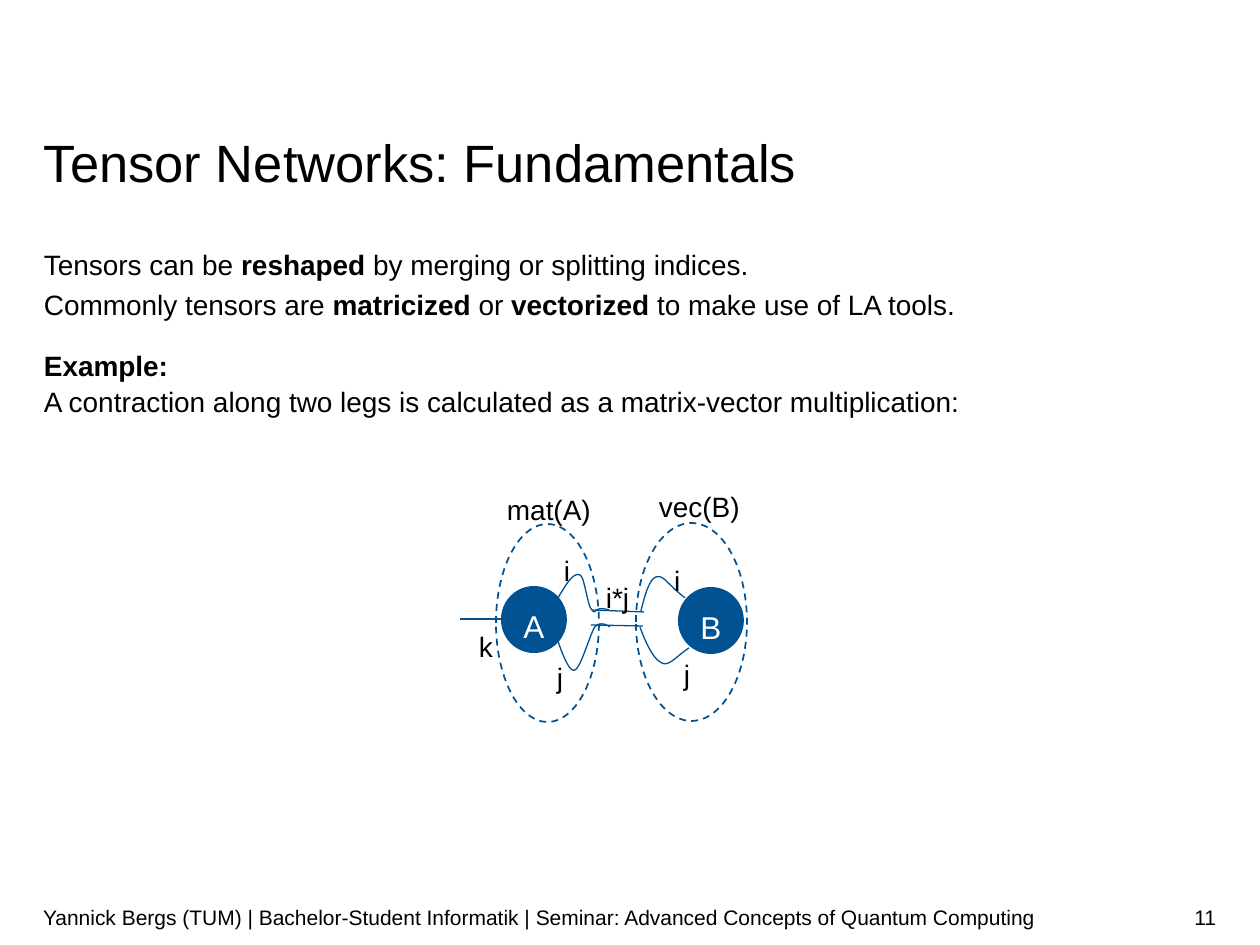
from lxml.etree import SubElement
from pptx import Presentation
from pptx.dml.color import RGBColor
from pptx.enum.dml import MSO_LINE_DASH_STYLE as Dash
from pptx.enum.shapes import MSO_CONNECTOR as Connector, MSO_SHAPE as Shape
from pptx.enum.text import MSO_ANCHOR as Anchor, PP_ALIGN as Align
from pptx.oxml.ns import qn
from pptx.util import Pt

PX = 914400 // 126
BLACK, WHITE, BLUE, LINE_BLUE = "000000", "FFFFFF", "005293", "005090"
LOOSE = 1.14  # line spacing of body text and labels

# Content: each paragraph is a list of (text, bold) runs
TITLE = [[("Tensor Networks: Fundamentals", False)]]
INTRO = [
    [("Tensors can be ", False), ("reshaped ", True),
     ("by merging or splitting indices.", False)],
    [("Commonly tensors are ", False), ("matricized ", True), ("or ", False),
     ("vectorized ", True), ("to make use of LA tools.", False)],
]
EXAMPLE = [
    [("Example:", True)],
    [("A contraction along two legs is calculated as a matrix-vector multiplication:", False)],
]
FOOTER = [[("Yannick Bergs (TUM) | Bachelor-Student Informatik | "
            "Seminar: Advanced Concepts of Quantum Computing", False)]]
PAGE_NUMBER = [[("11", False)]]

# Diagram, in px
GROUPS = [(636, 523, 111, 198), (496, 524, 103, 198)]
NODES = [("A", 501, 586), ("B", 678, 587)]
LABELS = [  # text, left, top, width
    ("i", 564, 549, 6), ("j", 557, 656, 6), ("k", 479, 625, 14),
    ("i", 674, 559, 6), ("j", 684, 653, 6), ("i*j", 606, 576, 24),
    ("mat(A)", 507, 488, 84), ("vec(B)", 659, 485, 82),
]
STRAIGHT_LEGS = [(501, 619, 460, 619), (592, 610, 644, 612), (591, 625, 643, 626)]
CURVED_LEGS = [  # start point, then three Bézier points per segment
    [(558, 598), (566, 585), (573, 572), (580, 575), (585, 577), (587, 605),
     (592, 610), (597, 616), (593, 605), (609, 610)],
    [(558, 641), (563, 656), (570, 673), (575, 670), (581, 668), (590, 634),
     (595, 627), (601, 620), (610, 627), (610, 627)],
    [(641, 611), (645, 595), (649, 580), (656, 577), (664, 575), (665, 582), (685, 598)],
    [(640, 627), (646, 643), (653, 659), (662, 663), (669, 667), (678, 655), (689, 648)],
]

presentation = Presentation()
presentation.slide_width, presentation.slide_height = 1260 * PX, 945 * PX
slide = presentation.slides.add_slide(presentation.slide_layouts[6])
shapes = slide.shapes


def color(value):
    return RGBColor.from_string(value)


def emu(*lengths):
    return [length * PX for length in lengths]


def write(frame, paragraphs, size, ink=BLACK, align=Align.LEFT, spacing=None, before=0):
    for index, runs in enumerate(paragraphs):
        paragraph = frame.paragraphs[0] if index == 0 else frame.add_paragraph()
        paragraph.alignment = align
        paragraph.space_before = Pt(before)
        if spacing:
            paragraph.line_spacing = spacing
        for text, bold in runs:
            run = paragraph.add_run()
            run.text = text
            font = run.font
            font.name, font.size, font.bold = "Arial", Pt(size), bold
            font.color.rgb = color(ink)


def add_text(box, paragraphs, size, inset=0, wrap=True, anchor=Anchor.TOP, **style):
    frame = shapes.add_textbox(*emu(*box)).text_frame
    frame.word_wrap = wrap
    frame.vertical_anchor = anchor
    frame.margin_left = frame.margin_right = 0
    frame.margin_top = frame.margin_bottom = inset * PX
    write(frame, paragraphs, size, **style)


def add_ellipse(box, fill):
    shape = shapes.add_shape(Shape.OVAL, *emu(*box))
    shape.shadow.inherit = False
    shape.fill.solid()
    shape.fill.fore_color.rgb = color(fill)
    return shape


def draw_line(line, ink, width):
    line.color.rgb = color(ink)
    line.width = Pt(width)


def curve_points(points, steps=12):
    for start in range(0, len(points) - 1, 3):
        segment = points[start:start + 4]
        for step in range(1, steps + 1):
            t = step / steps
            weights = ((1 - t) ** 3, 3 * t * (1 - t) ** 2, 3 * t * t * (1 - t), t ** 3)
            yield tuple(round(sum(w * p[axis] for w, p in zip(weights, segment)) * PX)
                        for axis in (0, 1))


# Dashed outlines around the reshaped tensors
for box in GROUPS:
    group = add_ellipse(box, WHITE)
    draw_line(group.line, BLUE, 1)
    group.line.dash_style = Dash.DASH

# Title, body and footer
add_text((44, 137, 1173, 57), TITLE, 30, spacing=Pt(32))
add_text((44, 243, 1173, 98), INTRO, 16, spacing=LOOSE, before=1)
add_text((44, 343, 1173, 548), EXAMPLE, 16, inset=6, before=1)
add_text((43, 892, 1005, 50), FOOTER, 12, inset=6, anchor=Anchor.MIDDLE)
add_text((934, 892, 282, 50), PAGE_NUMBER, 12, inset=6, anchor=Anchor.MIDDLE,
         align=Align.RIGHT)

# Tensor nodes
for name, left, top in NODES:
    node = add_ellipse((left, top, 66, 67), BLUE)
    node.line.fill.background()
    node.text_frame.vertical_anchor = Anchor.TOP
    write(node.text_frame, [[(name, False)]], 18, WHITE, Align.CENTER, LOOSE)

# Legs
for ends in STRAIGHT_LEGS:
    leg = shapes.add_connector(Connector.STRAIGHT, *emu(*ends))
    draw_line(leg.line, LINE_BLUE, 0.75)
    SubElement(leg.element.spPr, qn("a:effectLst"))
for points in CURVED_LEGS:
    builder = shapes.build_freeform(*emu(*points[0]))
    builder.add_line_segments(list(curve_points(points)), close=False)
    leg = builder.convert_to_shape()
    leg.shadow.inherit = False
    leg.fill.background()
    draw_line(leg.line, LINE_BLUE, 0.75)

# Index and tensor labels
for text, left, top, width in LABELS:
    add_text((left, top, width, 35), [[(text, False)]], 16, wrap=False, spacing=LOOSE)

presentation.save("out.pptx")
